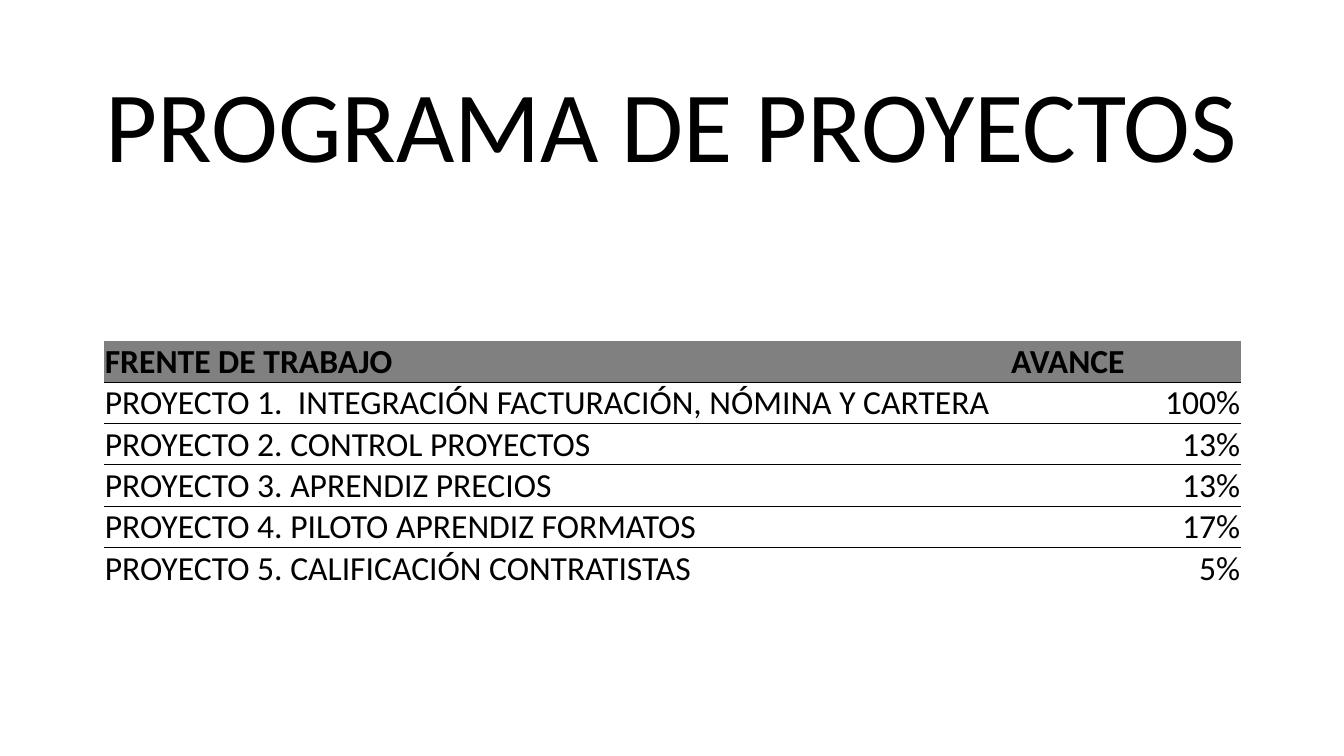
import lxml.etree
import pptx
import pptx.dml.color
import pptx.enum.text
import pptx.oxml.ns
import pptx.util

Inches = pptx.util.Inches
Align = pptx.enum.text.PP_ALIGN
Anchor = pptx.enum.text.MSO_ANCHOR
qn = pptx.oxml.ns.qn

PLAIN_TABLE_STYLE = "{2D5ABB26-0587-4C30-8999-92F81FD0307C}"
PROJECTS = [
    ("FRENTE DE TRABAJO", "AVANCE"),
    ("PROYECTO 1.  INTEGRACIÓN FACTURACIÓN, NÓMINA Y CARTERA", "100%"),
    ("PROYECTO 2. CONTROL PROYECTOS", "13%"),
    ("PROYECTO 3. APRENDIZ PRECIOS", "13%"),
    ("PROYECTO 4. PILOTO APRENDIZ FORMATOS", "17%"),
    ("PROYECTO 5. CALIFICACIÓN CONTRATISTAS", "5%"),
]


def color(code):
    return pptx.dml.color.RGBColor.from_string(code)


class SlideBuilder:
    font_name = "Calibri"
    ink = "000000"
    header_fill = "808080"

    def __init__(self, page):
        self.page = page

    def format_text(self, para, size, align, bold=False):
        para.alignment = align
        para.font.name = self.font_name
        para.font.size = pptx.util.Pt(size)
        para.font.bold = bold
        para.font.color.rgb = color(self.ink)

    def title(self, text, left, top, width, height):
        box = self.page.shapes.title
        box.left, box.top = Inches(left), Inches(top)
        box.width, box.height = Inches(width), Inches(height)
        frame = box.text_frame
        frame.text = text
        frame.word_wrap = True
        frame.auto_size = pptx.enum.text.MSO_AUTO_SIZE.SHAPE_TO_FIT_TEXT
        frame.vertical_anchor = Anchor.TOP
        self.format_text(frame.paragraphs[0], 72, Align.CENTER)

    def border(self, cell, side):
        properties = cell._tc.get_or_add_tcPr()
        line = lxml.etree.Element(qn("a:" + side), w=str(pptx.util.Pt(0.5)))
        fill = lxml.etree.SubElement(line, qn("a:solidFill"))
        lxml.etree.SubElement(fill, qn("a:srgbClr"), val=self.ink)
        properties.insert(0, line)

    def cell(self, cell, text, align, header):
        cell.text = text
        cell.vertical_anchor = Anchor.BOTTOM
        cell.margin_left = cell.margin_right = cell.margin_top = Inches(0.01)
        cell.margin_bottom = 0
        if header:
            cell.fill.solid()
            cell.fill.fore_color.rgb = color(self.header_fill)
        else:
            cell.fill.background()
        self.format_text(cell.text_frame.paragraphs[0], 24, align, header)

    def table(self, rows, left, top, widths, row_height):
        frame = self.page.shapes.add_table(
            len(rows), len(widths), Inches(left), Inches(top),
            Inches(sum(widths)), Inches(row_height * len(rows)))
        table = frame.table
        table.horz_banding = False
        table._tbl.tblPr.find(qn("a:tableStyleId")).text = PLAIN_TABLE_STYLE
        for column, width in zip(table.columns, widths):
            column.width = Inches(width)
        for row_index, texts in enumerate(rows):
            table.rows[row_index].height = Inches(row_height)
            header = row_index == 0
            for column_index, text in enumerate(texts):
                right = column_index == 1 and not header
                cell = table.cell(row_index, column_index)
                self.cell(cell, text, Align.RIGHT if right else Align.LEFT, header)
                if row_index < len(rows) - 1:
                    self.border(cell, "lnB")
                if not header:
                    self.border(cell, "lnT")


def main():
    deck = pptx.Presentation()
    deck.slide_width, deck.slide_height = Inches(13.33), Inches(7.5)
    page = deck.slides.add_slide(deck.slide_layouts[5])
    builder = SlideBuilder(page)
    builder.title("PROGRAMA DE PROYECTOS", 0.61, 0.56, 12.1, 1.31)
    builder.table(PROJECTS, 1.03, 3.38, [8.99, 2.29], 0.41)
    deck.save("out.pptx")


if __name__ == "__main__":
    main()
